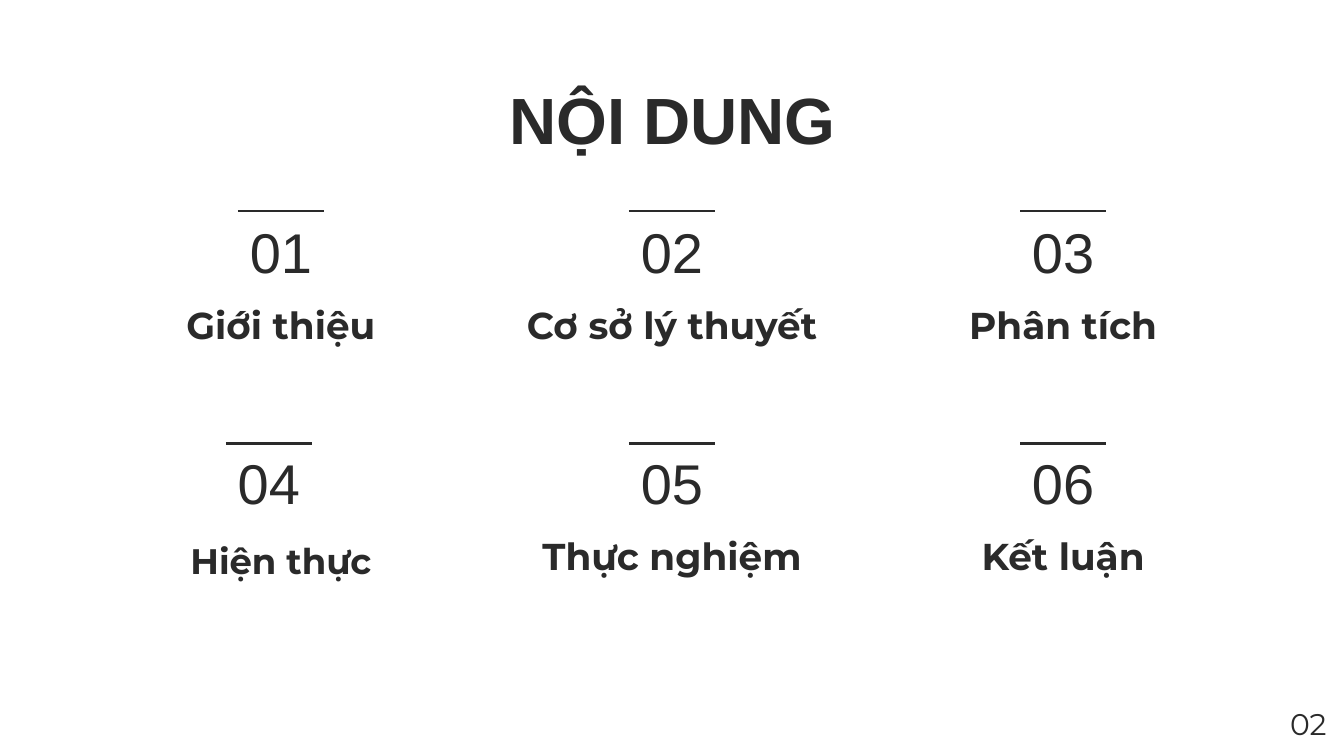
from lxml import etree
from pptx import Presentation
from pptx import util as u
from pptx.dml.color import RGBColor
from pptx.enum import shapes, text
from pptx.oxml.ns import qn

COLORS = {"ink": "2A2A2A", "paper": "FFFFFF"}
HEADING_FONT, BODY_FONT = "Arial", "Montserrat"
TOP, BOTTOM = text.MSO_ANCHOR.TOP, text.MSO_ANCHOR.BOTTOM


class AgendaSlide:
    """Style and current slide, with a method per kind of element."""

    def __init__(self, slide):
        self.slide = slide
        self.ink = RGBColor.from_string(COLORS["ink"])
        fill = slide.background.fill
        fill.solid()
        fill.fore_color.rgb = RGBColor.from_string(COLORS["paper"])

    def label(self, words, box, font, size, bold=False, anchor=TOP, inset_top=0.1):
        frame = self.slide.shapes.add_textbox(*map(u.Inches, box)).text_frame
        frame.word_wrap = True
        frame.vertical_anchor = anchor
        frame.margin_left = frame.margin_right = frame.margin_bottom = u.Inches(0.1)
        frame.margin_top = u.Inches(inset_top)
        paragraph = frame.paragraphs[0]
        paragraph.alignment = text.PP_ALIGN.CENTER
        run = paragraph.add_run()
        run.text = words
        run.font.name = font
        run.font.size = u.Pt(size)
        run.font.bold = bold
        run.font.color.rgb = self.ink

    def rule(self, left, y, width):
        line = self.slide.shapes.add_connector(
            shapes.MSO_CONNECTOR.STRAIGHT,
            u.Inches(left), u.Inches(y), u.Inches(left + width), u.Inches(y))
        line.line.color.rgb = self.ink
        line.line.width = u.Pt(1.5)
        etree.SubElement(line._element.spPr, qn("a:effectLst"))


def main():
    # Widescreen 16:9
    deck = Presentation()
    deck.slide_width = u.Inches(10)
    deck.slide_height = u.Inches(10 * 9 / 16)
    agenda = AgendaSlide(deck.slides.add_slide(deck.slide_layouts[6]))

    # Heading
    agenda.label("NỘI DUNG", (0.79, 0.49, 8.43, 0.63), HEADING_FONT, 35, bold=True)

    # Sections: three columns by two rows
    sections = ["Giới thiệu", "Cơ sở lý thuyết", "Phân tích",
                "Hiện thực", "Thực nghiệm", "Kết luận"]
    for index, section in enumerate(sections):
        row, column = divmod(index, 3)
        left, top = 0.83 + 2.91 * column, 1.57 + 1.72 * row
        # The fourth section sits slightly left, with a smaller name
        fourth = index == 3
        shift = -0.09 if fourth else 0
        name_size, name_inset = (19, 0.07) if fourth else (20, 0.03)

        agenda.rule(left + 0.94 + shift, top + 0.01 * row, 0.64)
        agenda.label(f"{index + 1:02}", (left + 0.86 + shift, top + 0.16, 0.8, 0.49),
                     HEADING_FONT, 30, anchor=BOTTOM)
        agenda.label(section, (left, top + 0.65, 2.52, 0.8), BODY_FONT, name_size,
                     bold=True, inset_top=name_inset)

    # Page number
    agenda.label("02", (9.47, 5.15, 0.53, 0.47), BODY_FONT, 16)

    deck.save("out.pptx")


if __name__ == "__main__":
    main()
